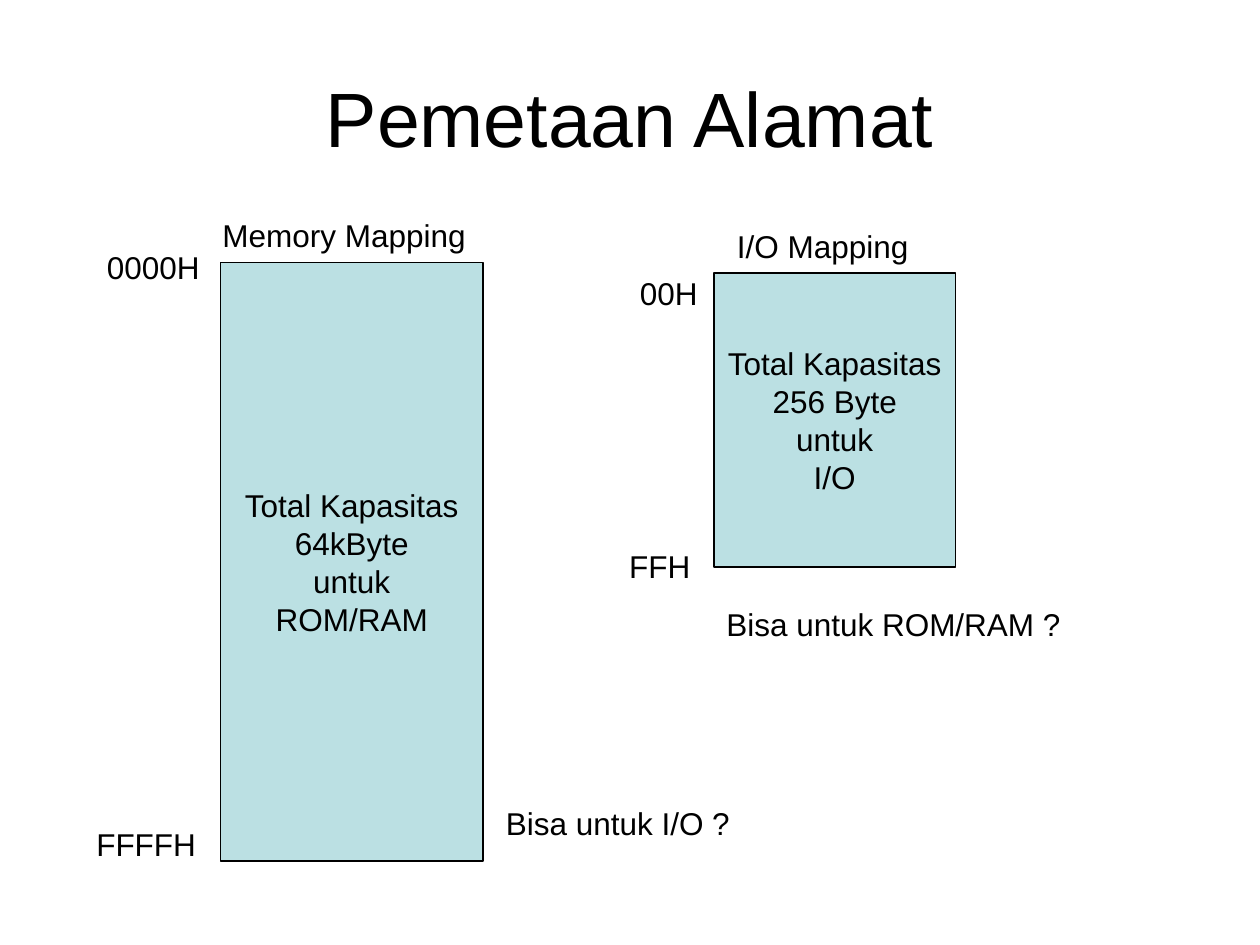
from dataclasses import dataclass

from pptx import Presentation
from pptx.dml.color import RGBColor
from pptx.enum.shapes import MSO_SHAPE
from pptx.enum.text import MSO_ANCHOR, MSO_AUTO_SIZE, PP_ALIGN
from pptx.util import Inches, Length, Pt

RECT = MSO_SHAPE.RECTANGLE
MIDDLE, TOP = MSO_ANCHOR.MIDDLE, MSO_ANCHOR.TOP
CENTER, LEFT = PP_ALIGN.CENTER, PP_ALIGN.LEFT
GROW = MSO_AUTO_SIZE.SHAPE_TO_FIT_TEXT

# Grid of twelve cells to the inch
COLS, ROWS, CELL = 120, 90, Inches(1) // 12
LINE_ROWS = 4.8


@dataclass(frozen=True)
class Theme:
    font: str = "Arial"
    ink: RGBColor = RGBColor(0x00, 0x00, 0x00)
    fill: RGBColor = RGBColor(0xBB, 0xE0, 0xE3)
    title: Length = Pt(44)
    body: Length = Pt(18)
    rule: Length = Pt(0.75)


@dataclass(frozen=True)
class Area:
    col: float
    row: float
    cols: float
    rows: float = LINE_ROWS

    def frame(self) -> list[int]:
        return [round(n * CELL) for n in (self.col, self.row, self.cols, self.rows)]


@dataclass(frozen=True)
class Item:
    text: str
    area: Area


THEME = Theme()

TITLE = Item("Pemetaan Alamat", Area(6, 3.6, 108, 15))
BLOCKS = (
    Item("Total Kapasitas\n64kByte\nuntuk\nROM/RAM", Area(21, 25, 25, 57)),
    Item("Total Kapasitas\n256 Byte\nuntuk\nI/O", Area(68, 26, 23, 28)),
)
LABELS = (
    Item("0000H", Area(9, 23, 11.25)),
    Item("FFFFH", Area(8, 78, 12)),
    Item("Memory Mapping", Area(20, 20, 26)),
    Item("I/O Mapping", Area(69, 21, 19)),
    Item("00H", Area(59.75, 25.5, 8)),
    Item("FFH", Area(58.75, 51.5, 8.25)),
    Item("Bisa untuk ROM/RAM ?", Area(68, 57, 34.75)),
    Item("Bisa untuk I/O ?", Area(47, 76, 24)),
)


def write(shape, text: str, size: Length, align, anchor, wrap: bool = False) -> None:
    frame = shape.text_frame
    frame.text = text
    frame.word_wrap = wrap
    frame.vertical_anchor = anchor
    for para in frame.paragraphs:
        para.alignment = align
        for run in para.runs:
            run.font.name = THEME.font
            run.font.size = size
            run.font.color.rgb = THEME.ink


def draw_title(slide, item: Item) -> None:
    box = slide.shapes.add_textbox(*item.area.frame())
    write(box, item.text, THEME.title, CENTER, MIDDLE, wrap=True)


def draw_block(slide, item: Item) -> None:
    block = slide.shapes.add_shape(RECT, *item.area.frame())
    block.shadow.inherit = False
    block.fill.solid()
    block.fill.fore_color.rgb = THEME.fill
    block.line.color.rgb = THEME.ink
    block.line.width = THEME.rule
    write(block, item.text, THEME.body, CENTER, MIDDLE)


def draw_label(slide, item: Item) -> None:
    box = slide.shapes.add_textbox(*item.area.frame())
    write(box, item.text, THEME.body, LEFT, TOP)
    box.text_frame.auto_size = GROW


def main() -> None:
    deck = Presentation()
    deck.slide_width, deck.slide_height = COLS * CELL, ROWS * CELL
    slide = deck.slides.add_slide(deck.slide_layouts[6])

    # Heading
    draw_title(slide, TITLE)

    # Address spaces
    for item in BLOCKS:
        draw_block(slide, item)

    # Addresses, captions and questions
    for item in LABELS:
        draw_label(slide, item)

    deck.save("out.pptx")


if __name__ == "__main__":
    main()
